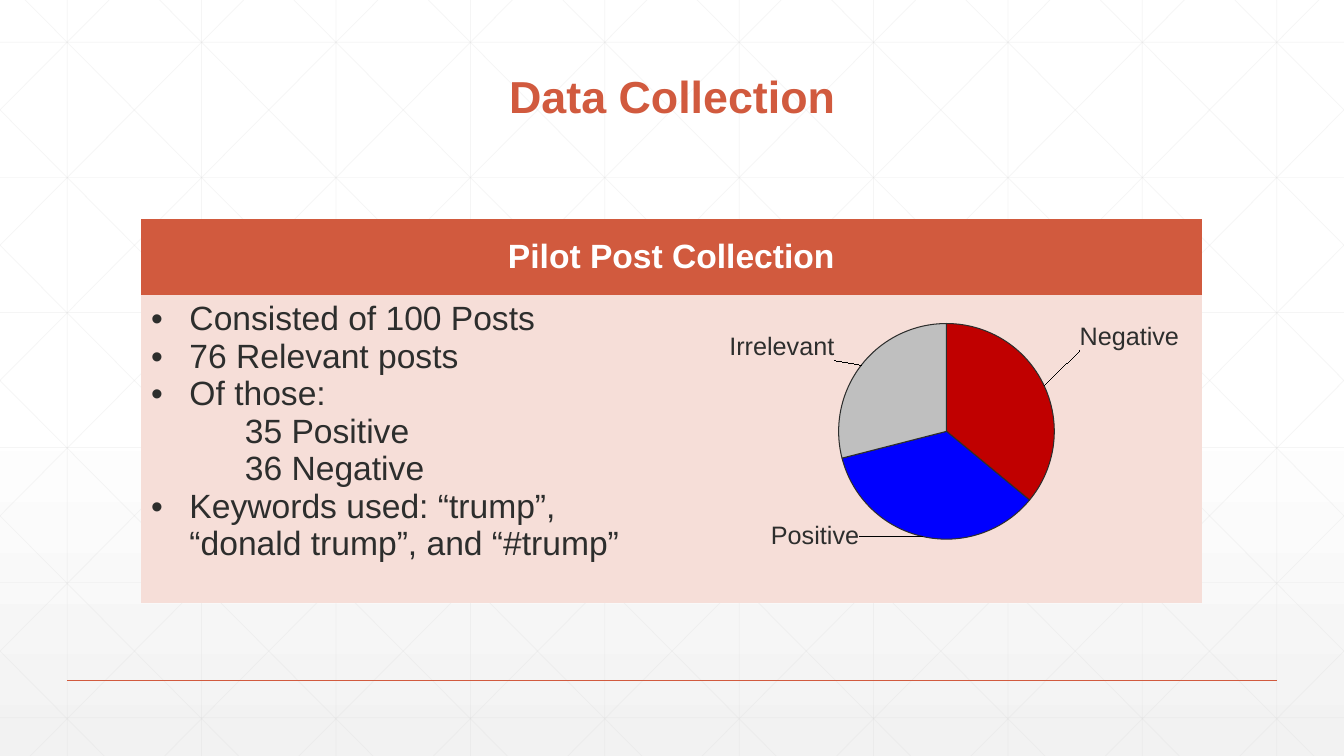
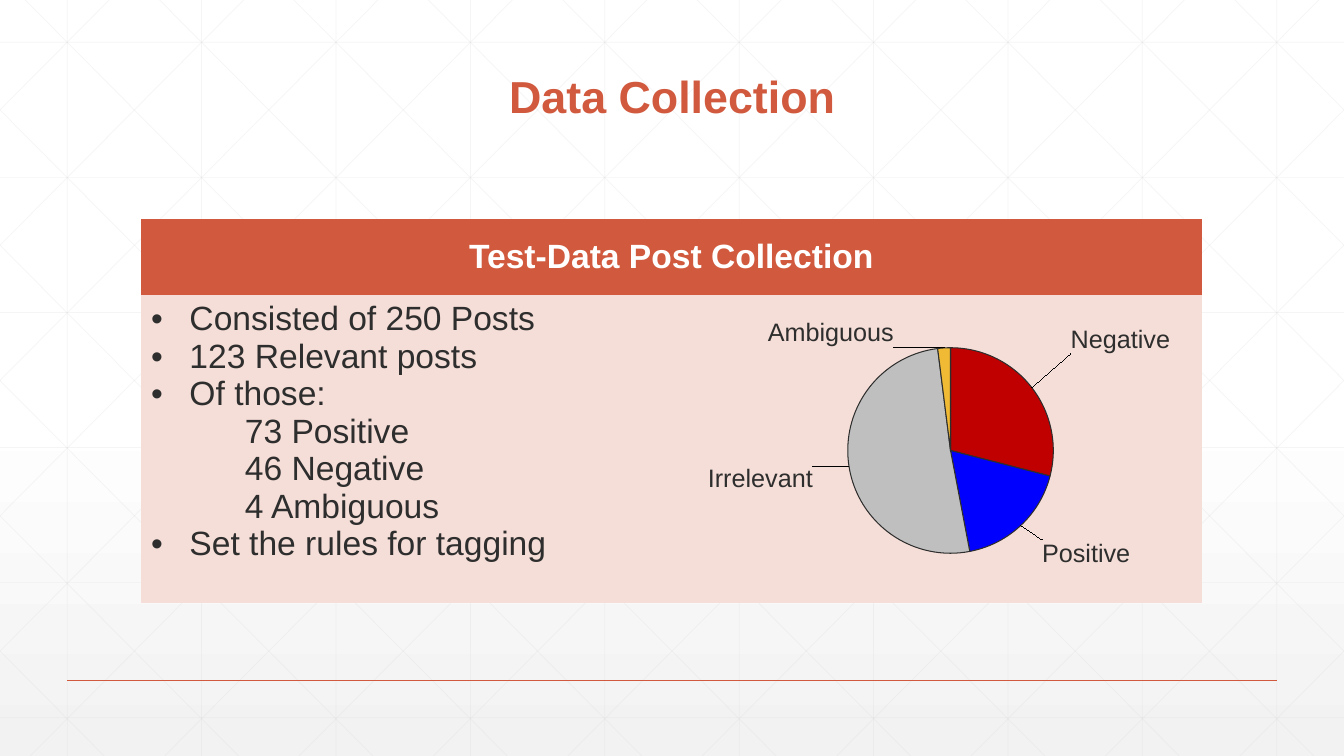
from dataclasses import dataclass
from lxml.etree import SubElement
from pptx import Presentation
from pptx.chart.data import CategoryChartData
from pptx.dml.color import RGBColor
from pptx.enum.chart import XL_CHART_TYPE as Kind, XL_LABEL_POSITION as Spot
from pptx.enum.shapes import MSO_CONNECTOR as Conn
from pptx.enum.text import MSO_ANCHOR as Anchor, PP_ALIGN as Align
from pptx.oxml import parse_xml
from pptx.oxml.ns import nsdecls, qn
from pptx.util import Inches, Pt

WIDE, HIGH = 13.333, 7.5
GRID = WIDE / 10
RUN = 7.45  # sideways run of a diagonal from top to bottom
FONT = "Arial"
INK = {"accent": "D15A3E", "tint": "F6DED8", "text": "2D2E2D", "white": "FFFFFF",
       "fog": "F2F2F2", "grid": "D9D9D9"}
HUES = {"Negative": "C00000", "Positive": "0000FF", "Irrelevant": "BFBFBF",
        "Ambiguous": "F0BA34"}
PLAIN = "{2D5ABB26-0587-4C30-8999-92F81FD0307C}"  # table style without borders
LEFT, TOP, COL, HEAD, BODY = 1.4, 2.17, 5.26, 0.76, 3.05


@dataclass
class Line:
    text: str
    bullet: bool = True


@dataclass
class Slice:
    name: str
    value: int
    dx: float  # label shift from its place at the rim, in inches
    dy: float


@dataclass
class Pie:
    left: float
    width: float
    mid: tuple[float, float]
    radius: float
    slices: list[Slice]
    top: float = 2.98
    height: float = 2.83


@dataclass
class Page:
    head: str
    lines: list[Line]
    pie: Pie


PAGES = [
    Page("Pilot Post Collection",
         [Line("Consisted of 100 Posts"), Line("76 Relevant posts"), Line("Of those:"),
          Line("35 Positive", False), Line("36 Negative", False),
          Line("Keywords used: “trump”, “donald trump”, and “#trump”")],
         Pie(6.36, 6.07, (9.39, 4.28), 1.07,
             [Slice("Negative", 36, 0.3, -0.32), Slice("Positive", 35, -0.62, -0.21),
              Slice("Irrelevant", 29, -0.22, -0.01)])),
    Page("Test-Data Post Collection",
         [Line("Consisted of 250 Posts"), Line("123 Relevant posts"), Line("Of those:"),
          Line("73 Positive", False), Line("46 Negative", False),
          Line("4 Ambiguous", False), Line("Set the rules for tagging")],
         Pie(5.93, 6.81, (9.43, 4.47), 1.02,
             [Slice("Negative", 29, 0.34, -0.3), Slice("Positive", 18, 0.17, 0.1),
              Slice("Irrelevant", 51, -0.3, -0.03), Slice("Ambiguous", 2, -1.12, 0.05)])),
]


def tone(name: str) -> RGBColor:
    return RGBColor.from_string(INK[name])


def write(para, text: str, size: float = 24, color: str = "text", bold: bool = False,
          align=Align.LEFT, space: float = 1.0) -> None:
    para.alignment, para.line_spacing = align, space
    run = para.add_run()
    run.text = text
    font = run.font
    font.name, font.size, font.bold = FONT, Pt(size), bold
    font.color.rgb = tone(color)


def indent(para, bullet: bool) -> None:
    props = para._p.get_or_add_pPr()
    left, first = (0.38, -0.38) if bullet else (0.93, 0)
    props.set("marL", str(Inches(left)))
    props.set("indent", str(Inches(first)))
    if bullet:
        SubElement(props, qn("a:buFont")).set("typeface", FONT)
        SubElement(props, qn("a:buChar")).set("char", "•")
    else:
        SubElement(props, qn("a:buNone"))


def rule(slide, layout, start: tuple, end: tuple, color: str = "grid",
         width: float = 0.5, alpha: int = 25) -> None:
    """Draw a line and hand it to the layout, so that every slide shows it."""
    line = slide.shapes.add_connector(Conn.STRAIGHT, *map(Inches, start + end))
    line.line.width = Pt(width)
    line.line.color.rgb = tone(color)
    shade = next(line._element.spPr.iter(qn("a:srgbClr")))
    SubElement(shade, qn("a:alpha")).set("val", str(alpha * 1000))
    SubElement(line._element.spPr, qn("a:effectLst"))
    layout.shapes._spTree.append(line._element)


def dress(slide, layout) -> None:
    """Put the backdrop, its grid and the footer rule on the layout."""
    fill = layout.background.fill
    fill.gradient()
    fill.gradient_angle = 270
    for stop, name, place in zip(fill.gradient_stops, ("white", "fog"), (0.53, 1)):
        stop.color.rgb, stop.position = tone(name), place
    for i in range(10):
        x = GRID * (i + 0.5)
        rule(slide, layout, (x, 0), (x, HIGH))
    for i in range(6):
        y = 0.42 + 1.34 * i
        rule(slide, layout, (0, y), (WIDE, y))
    for i in range(-5, 10):
        x = 0.25 + GRID * i
        a, b = max(x, 0), min(x + RUN, WIDE)
        ya, yb = ((end - x) * HIGH / RUN for end in (a, b))
        rule(slide, layout, (a, ya), (b, yb))
        rule(slide, layout, (WIDE - a, ya), (WIDE - b, yb))
    rule(slide, layout, (GRID / 2, HIGH * 0.9), (WIDE - GRID / 2, HIGH * 0.9),
         "accent", 1, 100)


def title(slide, text: str) -> None:
    box = slide.shapes.title
    box.left, box.top, box.width, box.height = map(Inches, (1.42, 0.36, 10.5, 1.25))
    box.text_frame.vertical_anchor = Anchor.MIDDLE
    write(box.text_frame.paragraphs[0], text, size=32, color="accent", bold=True,
          align=Align.CENTER, space=0.9)


def table(slide, page: Page) -> None:
    grid = slide.shapes.add_table(2, 2, *map(Inches, (LEFT, TOP, 2 * COL, HEAD + BODY))).table
    grid._tbl.tblPr.find(qn("a:tableStyleId")).text = PLAIN
    for row, high, color in zip(grid.rows, (HEAD, BODY), ("accent", "tint")):
        row.height = Inches(high)
        for cell in row.cells:
            cell.fill.solid()
            cell.fill.fore_color.rgb = tone(color)
    head = grid.cell(0, 0)
    head.merge(grid.cell(0, 1))
    head.vertical_anchor = Anchor.MIDDLE
    write(head.text_frame.paragraphs[0], page.head, color="white", bold=True,
          align=Align.CENTER)
    frame = grid.cell(1, 0).text_frame
    for i, line in enumerate(page.lines):
        para = frame.add_paragraph() if i else frame.paragraphs[0]
        write(para, line.text)
        indent(para, line.bullet)


def layout_xml(**parts):
    """Build a manual chart layout from its named parts."""
    body = "".join(f'<c:{key} val="{val}"/>' for key, val in parts.items())
    return parse_xml(f'<c:layout {nsdecls("c")}><c:manualLayout>{body}'
                     '</c:manualLayout></c:layout>')


def place(area, pie: Pie) -> None:
    """Fix the circle inside the chart frame."""
    for old in area.findall(qn("c:layout")):
        area.remove(old)
    area.insert(0, layout_xml(
        layoutTarget="inner", xMode="edge", yMode="edge",
        x=round((pie.mid[0] - pie.radius - pie.left) / pie.width, 4),
        y=round((pie.mid[1] - pie.radius - pie.top) / pie.height, 4),
        w=round(2 * pie.radius / pie.width, 4),
        h=round(2 * pie.radius / pie.height, 4)))


def chart(slide, pie: Pie) -> None:
    data = CategoryChartData()
    data.categories = [part.name for part in pie.slices]
    data.add_series("Series 1", [part.value for part in pie.slices])
    box = map(Inches, (pie.left, pie.top, pie.width, pie.height))
    view = slide.shapes.add_chart(Kind.PIE, *box, data).chart
    view.has_legend = view.has_title = False
    view.font.name, view.font.size = FONT, Pt(18)
    view.font.color.rgb = tone("text")
    place(view._chartSpace.chart.plotArea, pie)
    plot = view.plots[0]
    plot.vary_by_categories = True
    series = plot.series[0]
    tags = series.data_labels
    tags.show_category_name, tags.show_value = True, False
    tags.position = Spot.OUTSIDE_END
    for i, part in enumerate(pie.slices):
        point = series.points[i]
        point.format.fill.solid()
        point.format.fill.fore_color.rgb = RGBColor.from_string(HUES[part.name])
        point.format.line.color.rgb = tone("text")
        point.format.line.width = Pt(0.75)
        point.data_label.position = Spot.OUTSIDE_END
    for tag, part in zip(series._element.iter(qn("c:dLbl")), pie.slices):
        tag.insert(1, layout_xml(x=round(part.dx / pie.width, 4),
                                 y=round(part.dy / pie.height, 4)))
        for key, val in (("showCatName", "1"), ("showVal", "0")):
            tag.find(qn(f"c:{key}")).set("val", val)


def main() -> None:
    deck = Presentation()
    deck.slide_width, deck.slide_height = Inches(WIDE), Inches(HIGH)
    layout = deck.slide_layouts[5]
    for i, page in enumerate(PAGES):
        slide = deck.slides.add_slide(layout)
        if i == 0:
            dress(slide, layout)
        title(slide, "Data Collection")
        table(slide, page)
        chart(slide, page.pie)
    deck.save("out.pptx")


if __name__ == "__main__":
    main()
